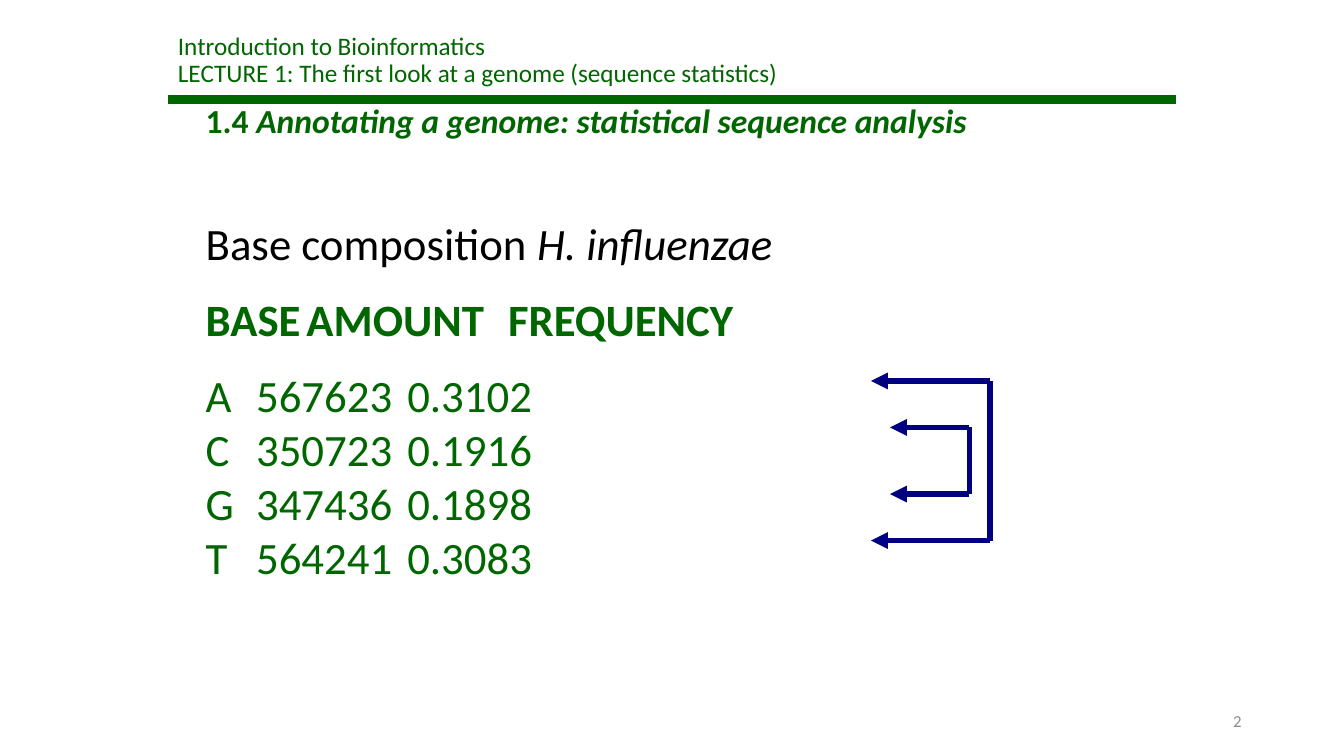
from lxml import etree
from pptx import Presentation
from pptx.dml.color import RGBColor
from pptx.enum.shapes import MSO_CONNECTOR
from pptx.enum.text import MSO_ANCHOR, MSO_AUTO_SIZE, PP_ALIGN
from pptx.oxml.ns import qn
from pptx.util import Cm, Pt

STRAIGHT = MSO_CONNECTOR.STRAIGHT
TOP, MIDDLE = MSO_ANCHOR.TOP, MSO_ANCHOR.MIDDLE
LEFT, RIGHT = PP_ALIGN.LEFT, PP_ALIGN.RIGHT
NO_FIT = MSO_AUTO_SIZE.NONE

GREEN = RGBColor(0x00, 0x66, 0x00)
NAVY = RGBColor(0x00, 0x00, 0x80)
BLACK = RGBColor(0x00, 0x00, 0x00)
GREY = RGBColor(0x8C, 0x8C, 0x8C)
FONT = "Calibri"

HEADER_TABS = (2.54, 10.16)
VALUE_TABS = (5.08, 12.7)
BASE_COUNTS = [
    ("A", "567623", "0.3102"),
    ("C", "350723", "0.1916"),
    ("G", "347436", "0.1898"),
    ("T", "564241", "0.3083"),
]


def place(shape, box, anchor):
    shape.left, shape.top, shape.width, shape.height = (Cm(length) for length in box)
    frame = shape.text_frame
    frame.word_wrap = True
    frame.auto_size = NO_FIT
    frame.vertical_anchor = anchor
    return frame


def style(span, size, color, bold=False, italic=False):
    span.font.name = FONT
    span.font.size = Pt(size)
    span.font.color.rgb = color
    span.font.bold = bold
    span.font.italic = italic


def add_line(shapes, start, end, color, weight, arrow=False):
    line = shapes.add_connector(STRAIGHT, *(Cm(length) for length in start + end))
    line.line.color.rgb = color
    line.line.width = Pt(weight)
    if arrow:
        outline = line.line._get_or_add_ln()
        etree.SubElement(outline, qn("a:headEnd"), type="triangle")
    etree.SubElement(line._element.spPr, qn("a:effectLst"))


def add_heading(slide, box):
    left, top, width, height = box
    frame = place(slide.shapes.title, box, TOP)
    frame.text = (
        "Introduction to Bioinformatics\v"
        "LECTURE 1: The first look at a genome (sequence statistics)"
    )
    para = frame.paragraphs[0]
    para.alignment = LEFT
    para.line_spacing = 0.9
    for span in para.runs:
        style(span, 18, GREEN)
    rule = top + 1.8
    add_line(slide.shapes, (left, rule), (left + width, rule), GREEN, 6)


def add_paragraph(frame, spans, size, color, space=0, tabs=()):
    para = frame.paragraphs[0] if not frame.text else frame.add_paragraph()
    properties = para._p.get_or_add_pPr()
    properties.set("marL", "0")
    properties.set("indent", "0")
    etree.SubElement(properties, qn("a:buNone"))
    if tabs:
        stops = etree.SubElement(properties, qn("a:tabLst"))
        for stop in tabs:
            etree.SubElement(stops, qn("a:tab"), pos=str(Cm(stop)), algn="l")
    para.alignment = LEFT
    para.line_spacing = 1.0
    para.space_before = Pt(space)
    for text, bold, italic in spans:
        span = para.add_run()
        span.text = text
        style(span, size, color, bold, italic)


def add_composition(slide, box):
    frame = place(slide.placeholders[1], box, TOP)
    section = "Annotating a genome: statistical sequence analysis"
    add_paragraph(frame, [("1.4 ", True, False), (section, True, True)], 24, GREEN)
    species = [("Base composition ", False, False), ("H. influenzae", False, True)]
    add_paragraph(frame, species, 32, BLACK, 54)
    header = [("BASE\tAMOUNT\tFREQUENCY", True, False)]
    add_paragraph(frame, header, 32, GREEN, 16, HEADER_TABS)
    for index, row in enumerate(BASE_COUNTS):
        space = 0 if index else 16
        values = [("\t".join(row), False, False)]
        add_paragraph(frame, values, 32, GREEN, space, VALUE_TABS)


def add_pair_bracket(slide, box):
    left, top, width, height = box
    right, bottom = left + width, top + height
    bracket = slide.shapes.add_group_shape().shapes
    for level in (top, bottom):
        add_line(bracket, (left, level), (right, level), NAVY, 4, arrow=True)
    add_line(bracket, (right, top), (right, bottom), NAVY, 4)


def add_page_number(slide, box):
    frame = place(slide.shapes.add_textbox(0, 0, 0, 0), box, MIDDLE)
    frame.text = "2"
    para = frame.paragraphs[0]
    para.alignment = RIGHT
    style(para.runs[0], 12, GREY)


def main():
    deck = Presentation()
    deck.slide_width, deck.slide_height = Cm(33.87), Cm(19.05)
    slide = deck.slides.add_slide(deck.slide_layouts[1])
    add_heading(slide, (4.23, 0.71, 25.4, 2.31))
    add_composition(slide, (4.93, 2.39, 23.7, 13))
    add_pair_bracket(slide, (21.95, 9.6, 3, 4.02))
    add_pair_bracket(slide, (22.43, 10.77, 2, 1.68))
    add_page_number(slide, (23.92, 17.66, 7.62, 1.01))
    deck.save("out.pptx")


if __name__ == "__main__":
    main()
